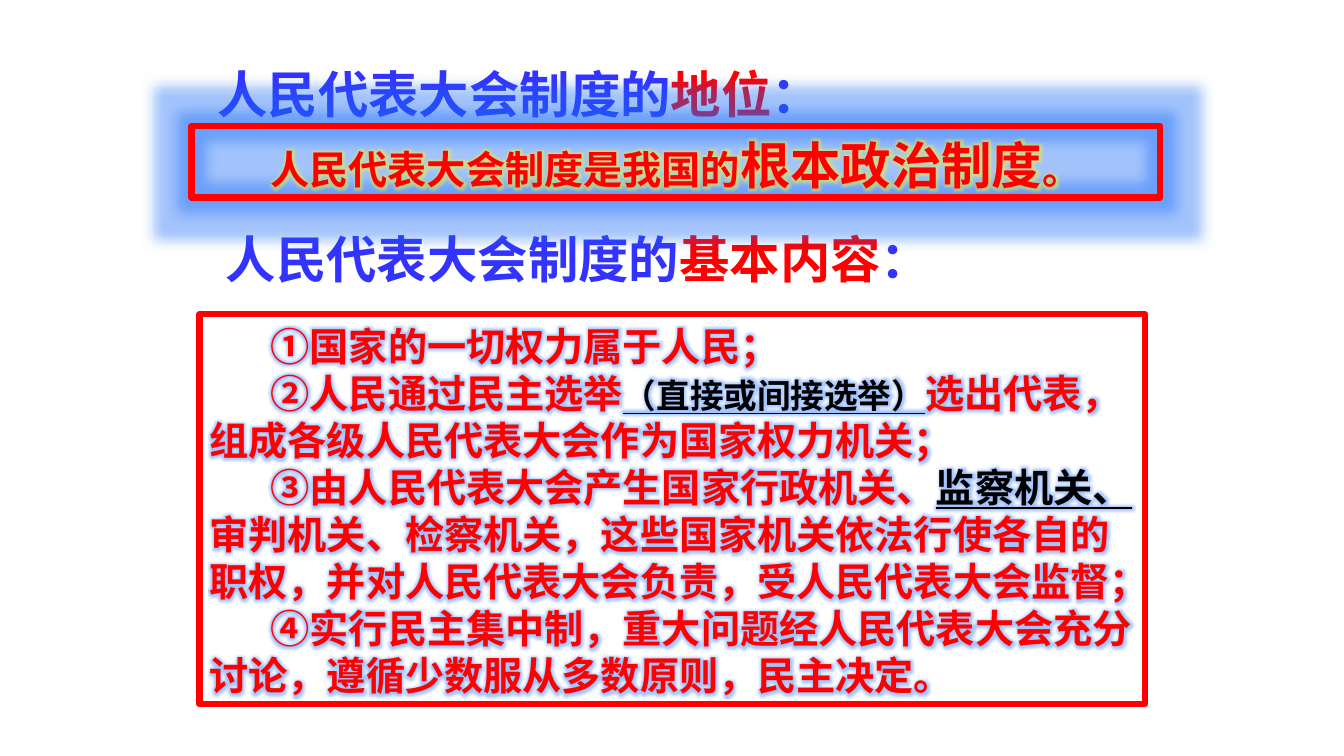
from lxml import etree
from pptx import Presentation
from pptx.dml.color import RGBColor
from pptx.enum.shapes import MSO_SHAPE
from pptx.enum.text import MSO_ANCHOR, MSO_AUTO_SIZE, PP_ALIGN
from pptx.oxml.ns import qn
from pptx.util import Cm, Pt

RECT = MSO_SHAPE.RECTANGLE
TOP = MSO_ANCHOR.TOP
FIXED = MSO_AUTO_SIZE.NONE
LEFT, MID = PP_ALIGN.LEFT, PP_ALIGN.CENTER

FACE = "Noto Sans CJK SC"
RED, BLUE, BLACK = "FF0000", "3333FF", "000000"
HALO, GOLD = "186AF8", "FFFF00"
LEAD = 1.2  # line pitch as a multiple of the text size

FRAME = {
    "word_wrap": True,
    "auto_size": FIXED,
    "vertical_anchor": TOP,
    "margin_left": Cm(0.25),
    "margin_right": Cm(0.25),
    "margin_top": Cm(0.2),
    "margin_bottom": Cm(0.05),
}

TITLES = [
    (5.23, 1.4, "地位"),
    (5.44, 5.56, "基本内容"),
]
STATUS = [[
    ("人民代表大会制度是我国的", RED, 28),
    ("根本政治制度", RED, 36),
    ("。", RED, 28),
]]
POINTS = [
    [("①国家的一切权力属于人民；", RED, 28)],
    [
        ("②人民通过民主选举", RED, 28),
        ("（直接或间接选举）", BLACK, 24, True),
        ("选出代表，组成各级人民代表大会作为国家权力机关；", RED, 28),
    ],
    [
        ("③由人民代表大会产生国家行政机关、", RED, 28),
        ("监察机关、", BLACK, 28, True),
        ("审判机关、检察机关，这些国家机关依法行使各自的职权，"
         "并对人民代表大会负责，受人民代表大会监督；", RED, 28),
    ],
    [("④实行民主集中制，重大问题经人民代表大会充分讨论，"
      "遵循少数服从多数原则，民主决定。", RED, 28)],
]


def paint(color, hue):
    color.rgb = RGBColor.from_string(hue)


def apply(target, values):
    for name, value in values.items():
        setattr(target, name, value)


def make_glow(hue, size):
    """Return an effect list with a glow of the given radius in points."""
    effects = etree.Element(qn("a:effectLst"))
    glow = etree.SubElement(effects, qn("a:glow"), rad=str(Pt(size)))
    color = etree.SubElement(glow, qn("a:srgbClr"), val=hue)
    etree.SubElement(color, qn("a:alpha"), val="40000")
    return effects


def add_run(para, glow, text, hue, size, under=False):
    run = para.add_run()
    run.text = text
    apply(run.font, {"name": FACE, "size": Pt(size), "bold": True,
                     "underline": under})
    paint(run.font.color, hue)
    props = run.font._element
    east = etree.Element(qn("a:ea"), typeface=FACE)
    props.find(qn("a:latin")).addnext(east)
    if glow:
        props.find(qn("a:solidFill")).addnext(make_glow(*glow))


def write(shape, paras, align=LEFT, indent=0, glow=None):
    frame = shape.text_frame
    apply(frame, FRAME)
    for i, runs in enumerate(paras):
        para = frame.add_paragraph() if i else frame.paragraphs[0]
        pitch = max(run[2] for run in runs) * LEAD
        if indent:
            pitch = 28 * LEAD
            para._p.get_or_add_pPr().set("indent", str(Cm(indent)))
        apply(para, {"alignment": align, "line_spacing": Pt(pitch)})
        for run in runs:
            add_run(para, glow, *run)


def add_title(slide, left, top, topic):
    box = slide.shapes.add_textbox(Cm(left), Cm(top), Cm(23.22), Cm(1.8))
    write(box, [[
        ("人民代表大会制度的", BLUE, 36),
        (topic, RED, 36),
        ("：", BLUE, 36),
    ]])


def add_panel(slide, left, top, width, height):
    panel = slide.shapes.add_shape(
        RECT, Cm(left), Cm(top), Cm(width), Cm(height))
    panel.shadow.inherit = False
    panel.fill.background()
    paint(panel.line.color, RED)
    panel.line.width = Pt(4.5)
    return panel


def main():
    deck = Presentation()
    apply(deck, {"slide_width": Cm(33.87), "slide_height": Cm(19.05)})
    slide = deck.slides.add_slide(deck.slide_layouts[6])

    for title in reversed(TITLES):
        add_title(slide, *title)

    status = add_panel(slide, 4.83, 3.18, 24.41, 1.8)
    props = status._element.spPr
    props.replace(props.find(qn("a:effectLst")), make_glow(HALO, 18))
    write(status, STATUS, align=MID, glow=(GOLD, 8))

    points = add_panel(slide, 5.03, 7.92, 23.83, 9.83)
    write(points, POINTS, indent=1.54, glow=(HALO, 5))

    deck.save("out.pptx")


if __name__ == "__main__":
    main()
